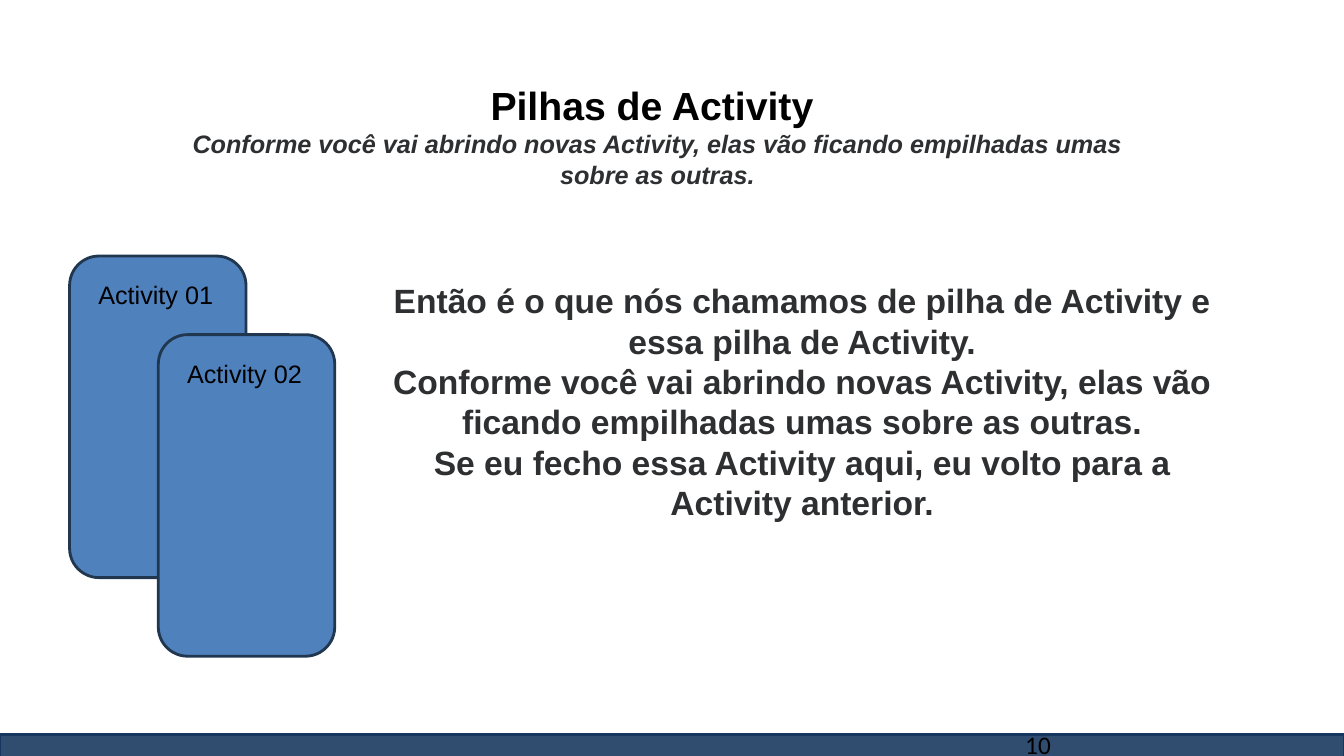
import pptx
import pptx.util
import pptx.dml.color
import pptx.enum.shapes
import pptx.enum.text
import pptx.oxml
import pptx.oxml.ns

Inches = pptx.util.Inches
Pt = pptx.util.Pt
ALIGN = pptx.enum.text.PP_ALIGN
ANCHOR = pptx.enum.text.MSO_ANCHOR
SHAPE = pptx.enum.shapes.MSO_SHAPE
COLORS = {"bar": "17365D", "card": "4F81BD", "edge": "21364F",
          "black": "000000", "body": "2D2F31"}


class ActivitySlide:
    """Holds the slide and its style, and draws each kind of element."""

    def __init__(self, prs):
        self.s = prs.slides.add_slide(prs.slide_layouts[5])

    def rgb(self, name):
        return pptx.dml.color.RGBColor.from_string(COLORS[name])

    def style(self, p, size, color="black", bold=False, italic=False,
              align=ALIGN.CENTER, font="Arial"):
        p.alignment = align
        for r in p.runs:
            r.font.name, r.font.size = font, Pt(size)
            r.font.bold, r.font.italic = bold, italic
            r.font.color.rgb = self.rgb(color)

    def title(self, heading, subtitle, x, y, w, h):
        sp = self.s.shapes.title
        sp.left, sp.top, sp.width, sp.height = map(Inches, (x, y, w, h))
        tf = sp.text_frame
        tf.text = f"{heading}\n{subtitle}"
        tf.word_wrap = True
        tf.auto_size = pptx.enum.text.MSO_AUTO_SIZE.NONE
        tf.vertical_anchor = ANCHOR.TOP
        self.style(tf.paragraphs[0], 28, bold=True)
        self.style(tf.paragraphs[1], 18, "body", bold=True, italic=True)

    def text(self, text, x, y, w, h, size, **style):
        sp = self.s.shapes.add_textbox(*map(Inches, (x, y, w, h)))
        tf = sp.text_frame
        tf.text = text
        tf.word_wrap = True
        for p in tf.paragraphs:
            self.style(p, size, **style)

    def shape(self, kind, x, y, w, h, fill=None, line=None, alpha=None):
        sp = self.s.shapes.add_shape(kind, *map(Inches, (x, y, w, h)))
        sp.shadow.inherit = False
        if fill:
            sp.fill.solid()
            sp.fill.fore_color.rgb = self.rgb(fill)
        else:
            sp.fill.background()
        if line:
            sp.line.color.rgb = self.rgb(line)
            sp.line.width = Pt(2)
        else:
            sp.line.fill.background()
        if alpha:
            color = sp.fill._xPr.find(".//" + pptx.oxml.ns.qn("a:srgbClr"))
            color.append(pptx.oxml.parse_xml(
                f'<a:alpha {pptx.oxml.ns.nsdecls("a")} val="{alpha * 1000}"/>'))
        return sp

    def card(self, label, x, y):
        self.shape(SHAPE.ROUNDED_RECTANGLE, x, y, 1.75, 3.19, "card", "edge")
        sp = self.shape(SHAPE.ROUNDED_RECTANGLE, x + 0.1, y + 0.19, 1.51, 0.38)
        tf = sp.text_frame
        tf.text = label
        tf.vertical_anchor = ANCHOR.MIDDLE
        self.style(tf.paragraphs[0], 18)


def main():
    prs = pptx.Presentation()
    prs.slide_width, prs.slide_height = Inches(13.33), Inches(7.5)
    slide = ActivitySlide(prs)
    stacking = ("Conforme você vai abrindo novas Activity, elas vão ficando "
                "empilhadas umas sobre as outras.")
    slide.shape(SHAPE.RECTANGLE, 0, 7.29, 13.33, 0.22, "bar", "bar", alpha=89)
    slide.text("10", 10.07, 7.19, 3.11, 0.4, 18, align=ALIGN.LEFT, font="Calibri")
    slide.title("Pilhas de Activity ", stacking, 1.53, 0.76, 9.98, 0.88)
    for i in range(2):
        slide.card(f"Activity {i + 1:02}", 0.69 + 0.88 * i, 2.54 + 0.78 * i)
    body = ("Então é o que nós chamamos de pilha de Activity e essa pilha de Activity.",
            stacking,
            "Se eu fecho essa Activity aqui, eu volto para a Activity anterior.")
    slide.text("\n".join(body), 3.75, 2.73, 8.41, 2.52, 24, color="body", bold=True)
    prs.save("out.pptx")


if __name__ == "__main__":
    main()
